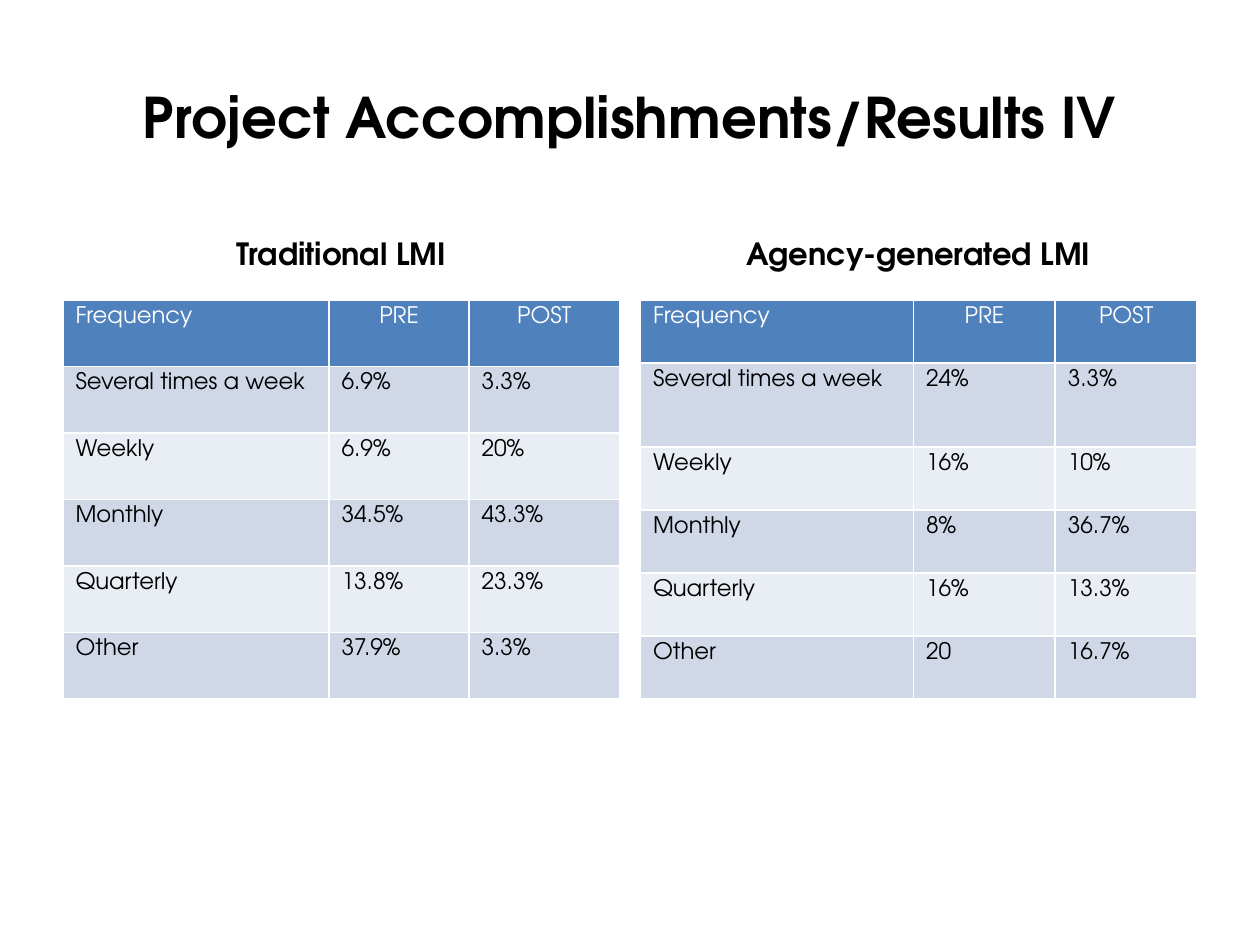
from pptx import Presentation
from pptx.dml.color import RGBColor
from pptx.enum.text import MSO_ANCHOR, MSO_AUTO_SIZE, PP_ALIGN
from pptx.util import Pt

CENTER, LEFT = PP_ALIGN.CENTER, PP_ALIGN.LEFT
MIDDLE, BOTTOM = MSO_ANCHOR.MIDDLE, MSO_ANCHOR.BOTTOM
NO_AUTOFIT = MSO_AUTO_SIZE.NONE
FONT = "TeX Gyre Adventor"
HEADER_FILL, BAND_FILLS = "4F81BD", ("E9EDF4", "D0D8E8")
TABLE_WIDTH, TABLE_TOP, TABLE_HEIGHT = 318, 171.5, 228


def format_text(frame, size, color, bold, align):
    paragraph = frame.paragraphs[0]
    paragraph.alignment = align
    paragraph.space_before = Pt(0)
    font = paragraph.runs[0].font
    font.name, font.size, font.bold = FONT, Pt(size), bold
    font.color.rgb = RGBColor.from_string(color)


def fill_placeholder(holder, text, box, size, anchor):
    holder.left, holder.top, holder.width, holder.height = map(Pt, box)
    frame = holder.text_frame
    frame.text = text
    frame.word_wrap = True
    frame.auto_size = NO_AUTOFIT
    frame.vertical_anchor = anchor
    frame.margin_left = frame.margin_right = Pt(34)
    frame.margin_top = frame.margin_bottom = Pt(16.5)
    format_text(frame, size, "000000", True, CENTER)


prs = Presentation()
prs.slide_width, prs.slide_height = Pt(720), Pt(540)
slide = prs.slides.add_slide(prs.slide_layouts[4])
title, left_heading, left_body, right_heading, right_body = slide.placeholders

# The tables take the place of the two content placeholders
for body in (left_body, right_body):
    body.element.getparent().remove(body.element)

# Title
fill_placeholder(title, "Project Accomplishments/Results IV",
                 (36, 21.6, 648, 90), 32, MIDDLE)

# Survey results before and after the project
frequencies = ["Several times a week", "Weekly", "Monthly", "Quarterly", "Other"]
surveys = [
    (left_heading, "Traditional LMI", 36, (152, 80, 86), (38,) * 6,
     ["6.9%", "6.9%", "34.5%", "13.8%", "37.9%"],
     ["3.3%", "20%", "43.3%", "23.3%", "3.3%"]),
    (right_heading, "Agency-generated LMI", 366, (156, 81, 81),
     (36, 48, 36, 36, 36, 36),
     ["24%", "16%", "8%", "16%", "20"],
     ["3.3%", "10%", "36.7%", "13.3%", "16.7%"]),
]

for heading, label, left, widths, heights, pre, post in surveys:
    # Heading above the table
    fill_placeholder(heading, label, (left, 121, TABLE_WIDTH, 50.5), 17.5, BOTTOM)

    # Table; the default style supplies the white borders
    rows = [("Frequency", "PRE", "POST"), *zip(frequencies, pre, post)]
    table = slide.shapes.add_table(
        len(rows), len(widths), Pt(left), Pt(TABLE_TOP),
        Pt(TABLE_WIDTH), Pt(TABLE_HEIGHT)).table
    for column, width in zip(table.columns, widths):
        column.width = Pt(width)
    for r, values in enumerate(rows):
        table.rows[r].height = Pt(heights[r])
        for c, value in enumerate(values):
            cell = table.cell(r, c)
            cell.text_frame.text = value
            cell.fill.solid()
            cell.fill.fore_color.rgb = RGBColor.from_string(
                BAND_FILLS[r % 2] if r else HEADER_FILL)
            format_text(cell.text_frame, 13, "000000" if r else "FFFFFF", False,
                        CENTER if r == 0 and c else LEFT)

prs.save("out.pptx")
